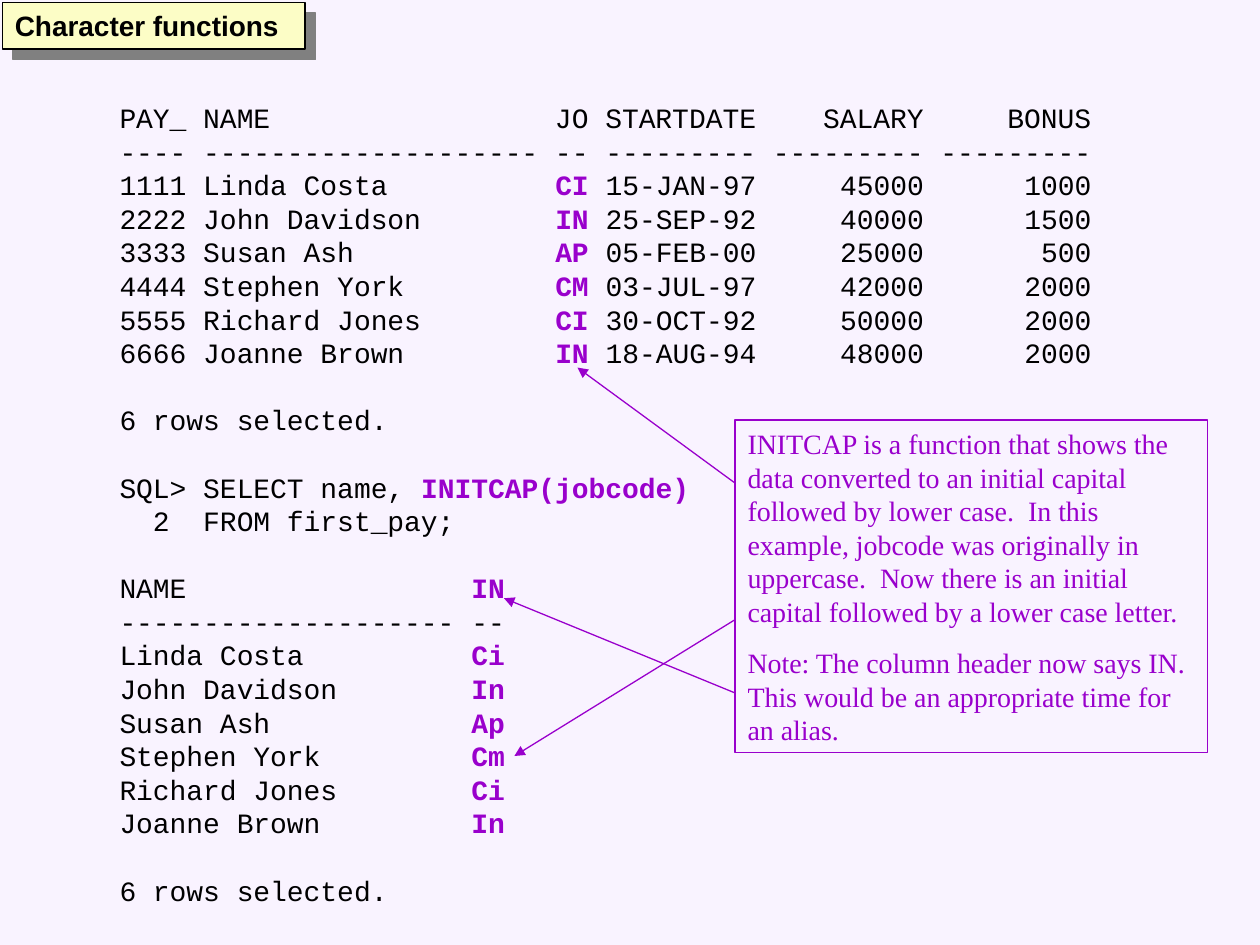
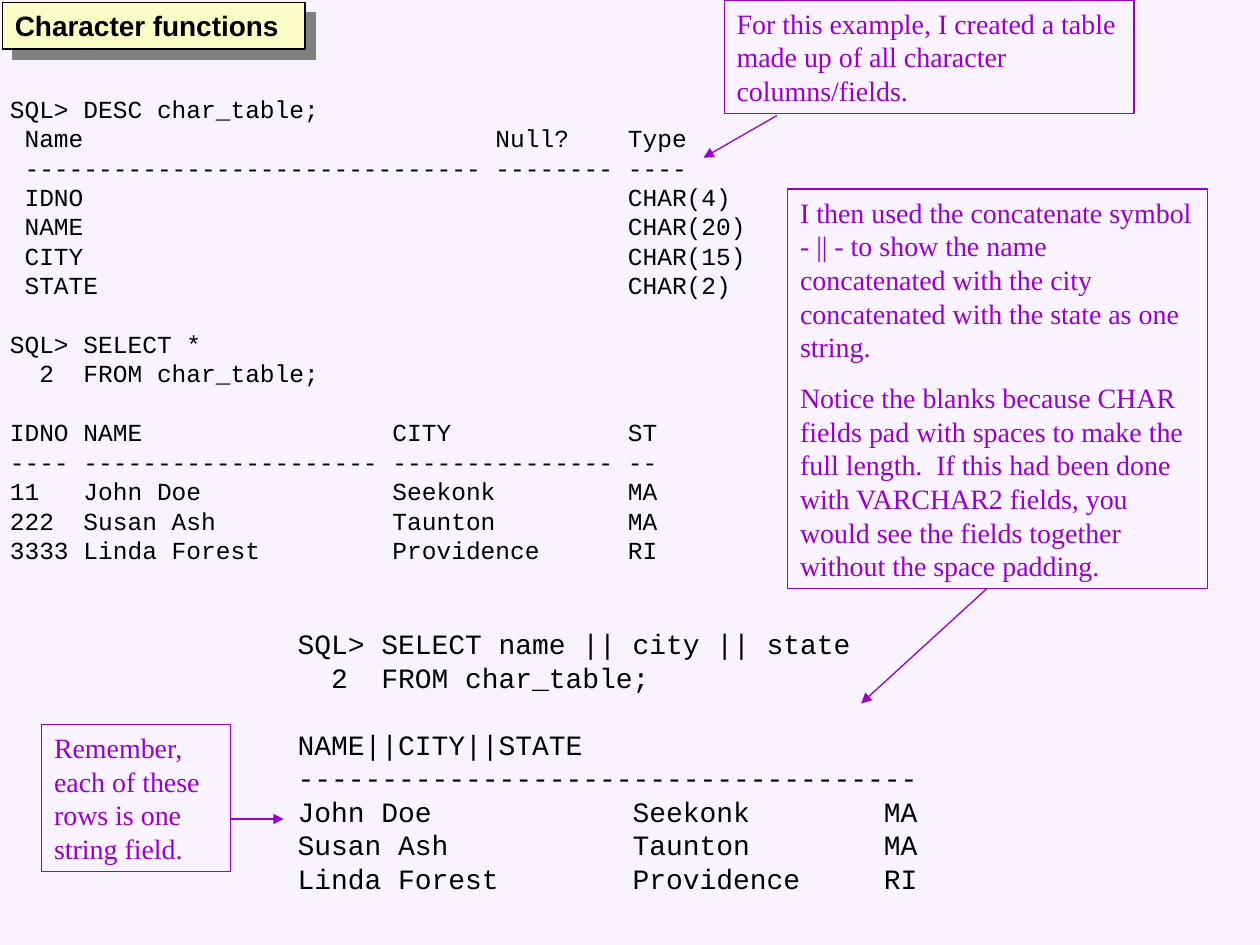
from lxml import etree
from pptx import Presentation
from pptx.dml.color import RGBColor
from pptx.enum.shapes import MSO_CONNECTOR, MSO_SHAPE
from pptx.enum.text import MSO_ANCHOR, MSO_AUTO_SIZE, PP_ALIGN
from pptx.oxml import parse_xml
from pptx.oxml.ns import nsdecls, qn
from pptx.util import Cm, Pt

STRAIGHT = MSO_CONNECTOR.STRAIGHT
RECTANGLE = MSO_SHAPE.RECTANGLE
TOP = MSO_ANCHOR.TOP
NO_AUTOFIT = MSO_AUTO_SIZE.NONE
LEFT = PP_ALIGN.LEFT

BACKGROUND = RGBColor(0xF9, 0xF3, 0xFF)
TITLE_FILL = RGBColor(0xFC, 0xFD, 0xC6)
BLACK = RGBColor(0, 0, 0)
PURPLE = RGBColor(0x99, 0x00, 0xCC)

TITLE_FONT, CODE_FONT, NOTE_FONT = "Arial", "Courier New", "Times New Roman"
TEXT_SIZE = 16
LINE_FACTOR = 1.2
NOTE_GAP = Pt(10)
RULE_WIDTH = Pt(0.75)
HIGHLIGHT = "`"  # encloses the highlighted words of a code line
TITLE_BOX = (0.05, 0.05, 6.1, 0.94)

# Content: boxes are (left, top, width, height) in cm; each listing is split
# into blocks that stand one blank line apart.
SLIDES = [
    {
        "title": "Character functions",
        "listings": [
            {"box": (2.16, 1.9, 20.5, 16.5), "size": 16, "blocks": [
                ["PAY_ NAME                 JO STARTDATE    SALARY     BONUS",
                 "---- -------------------- -- --------- --------- ---------",
                 "1111 Linda Costa          `CI` 15-JAN-97     45000      1000",
                 "2222 John Davidson        `IN` 25-SEP-92     40000      1500",
                 "3333 Susan Ash            `AP` 05-FEB-00     25000       500",
                 "4444 Stephen York         `CM` 03-JUL-97     42000      2000",
                 "5555 Richard Jones        `CI` 30-OCT-92     50000      2000",
                 "6666 Joanne Brown         `IN` 18-AUG-94     48000      2000"],
                ["6 rows selected."],
                ["SQL> SELECT name, `INITCAP(jobcode)`",
                 "  2  FROM first_pay;"],
                ["NAME                 `IN`",
                 "-------------------- --",
                 "Linda Costa          `Ci`",
                 "John Davidson        `In`",
                 "Susan Ash            `Ap`",
                 "Stephen York         `Cm`",
                 "Richard Jones        `Ci`",
                 "Joanne Brown         `In`"],
                ["6 rows selected."],
            ]},
        ],
        "notes": [
            {"box": (14.82, 8.47, 9.52, 6.7), "paragraphs": [
                "INITCAP is a function that shows the data converted to an "
                "initial capital followed by lower case.  In this example, "
                "jobcode was originally in uppercase.  Now there is an initial "
                "capital followed by a lower case letter.",
                "Note: The column header now says IN.  This would be an "
                "appropriate time for an alias."]},
        ],
        "arrows": [
            (14.82, 9.74, 11.64, 7.41),
            (14.82, 12.49, 10.37, 15.24),
            (14.82, 13.97, 10.16, 12.06),
        ],
    },
    {
        "title": "Character functions",
        "listings": [
            {"box": (-0.05, 1.76, 15.6, 9.75), "size": 14, "blocks": [
                ["SQL> DESC char_table;",
                 " Name                            Null?    Type",
                 " ------------------------------- -------- ----",
                 " IDNO                                     CHAR(4)",
                 " NAME                                     CHAR(20)",
                 " CITY                                     CHAR(15)",
                 " STATE                                    CHAR(2)"],
                ["SQL> SELECT *",
                 "  2  FROM char_table;"],
                ["IDNO NAME                 CITY            ST",
                 "---- -------------------- --------------- --",
                 "11   John Doe             Seekonk         MA",
                 "222  Susan Ash            Taunton         MA",
                 "3333 Linda Forest         Providence      RI"],
            ]},
            {"box": (5.75, 12.5, 13.2, 5.7), "size": 16, "blocks": [
                ["SQL> SELECT name || city || state",
                 "  2  FROM char_table;"],
                ["NAME||CITY||STATE",
                 "-------------------------------------",
                 "John Doe            Seekonk        MA",
                 "Susan Ash           Taunton        MA",
                 "Linda Forest        Providence     RI"],
            ]},
        ],
        "notes": [
            {"box": (14.6, 0, 8.26, 2.29), "paragraphs": [
                "For this example, I created a table made up of all character "
                "columns/fields."]},
            {"box": (15.88, 3.81, 8.46, 8.06), "paragraphs": [
                "I then used the concatenate symbol - || - to show the name "
                "concatenated with the city concatenated with the state as one "
                "string.",
                "Notice the blanks because CHAR fields pad with spaces to make "
                "the full length.  If this had been done with VARCHAR2 fields, "
                "you would see the fields together without the space padding."]},
            {"box": (0.84, 14.6, 3.81, 2.97), "paragraphs": [
                "Remember, each of these rows is one string field."]},
        ],
        "arrows": [
            (15.66, 2.33, 14.18, 3.18),
            (19.9, 11.86, 17.36, 14.18),
            (4.65, 16.51, 5.72, 16.51),
        ],
    },
]


def in_cm(lengths):
    return [Cm(length) for length in lengths]


def set_up_frame(frame):
    frame.word_wrap = True
    frame.auto_size = NO_AUTOFIT
    frame.vertical_anchor = TOP
    frame.margin_left = frame.margin_right = Cm(0.25)
    frame.margin_top = frame.margin_bottom = Cm(0.13)


def format_paragraph(paragraph, font_name, size, color, gap=Pt(0)):
    paragraph.alignment = LEFT
    paragraph.line_spacing = Pt(size * LINE_FACTOR)
    paragraph.space_before = gap
    for run in paragraph.runs:
        run.font.name = font_name
        run.font.size = Pt(size)
        run.font.color.rgb = color


def next_paragraph(frame, index):
    return frame.add_paragraph() if index else frame.paragraphs[0]


def set_title(slide, text):
    title = slide.shapes.title
    title.left, title.top, title.width, title.height = in_cm(TITLE_BOX)
    title.fill.solid()
    title.fill.fore_color.rgb = TITLE_FILL
    title.line.color.rgb = BLACK
    title.line.width = RULE_WIDTH
    title._element.spPr.append(parse_xml(
        f'<a:effectLst {nsdecls("a")}>'
        '<a:outerShdw dist="107950" dir="2700000" algn="ctr" rotWithShape="0">'
        '<a:srgbClr val="808080"/></a:outerShdw></a:effectLst>'))
    set_up_frame(title.text_frame)
    title.text_frame.text = text
    heading = title.text_frame.paragraphs[0]
    format_paragraph(heading, TITLE_FONT, TEXT_SIZE, BLACK)
    heading.runs[0].font.bold = True


def add_listing(slide, box, size, blocks):
    frame = slide.shapes.add_textbox(*in_cm(box)).text_frame
    set_up_frame(frame)
    lines = [(line, row == 0) for block in blocks
             for row, line in enumerate(block)]
    for index, (line, starts_block) in enumerate(lines):
        paragraph = next_paragraph(frame, index)
        pieces = line.split(HIGHLIGHT)
        for piece in filter(None, pieces):
            paragraph.add_run().text = piece
        gap = Pt(size * LINE_FACTOR) if index and starts_block else Pt(0)
        format_paragraph(paragraph, CODE_FONT, size, BLACK, gap)
        if len(pieces) > 1:
            highlighted = paragraph.runs[1].font
            highlighted.bold = True
            highlighted.color.rgb = PURPLE


def add_note(slide, box, paragraphs):
    note = slide.shapes.add_shape(RECTANGLE, *in_cm(box))
    note.shadow.inherit = False
    note.fill.background()
    note.line.color.rgb = PURPLE
    note.line.width = RULE_WIDTH
    set_up_frame(note.text_frame)
    for index, text in enumerate(paragraphs):
        paragraph = next_paragraph(note.text_frame, index)
        paragraph.text = text
        format_paragraph(paragraph, NOTE_FONT, TEXT_SIZE, PURPLE,
                         NOTE_GAP if index else Pt(0))


def add_arrow(slide, ends):
    arrow = slide.shapes.add_connector(STRAIGHT, *in_cm(ends))
    arrow.line.color.rgb = PURPLE
    arrow.line.width = RULE_WIDTH
    etree.SubElement(arrow.line._get_or_add_ln(), qn("a:tailEnd"),
                     type="triangle")
    etree.SubElement(arrow._element.spPr, qn("a:effectLst"))


def main():
    prs = Presentation()
    prs.slide_width, prs.slide_height = Cm(25.4), Cm(19.05)
    backdrop = prs.slide_master.background.fill
    backdrop.solid()
    backdrop.fore_color.rgb = BACKGROUND
    title_only = prs.slide_layouts.get_by_name("Title Only")

    for content in SLIDES:
        slide = prs.slides.add_slide(title_only)
        set_title(slide, content["title"])
        for listing in content["listings"]:
            add_listing(slide, **listing)
        for note in content["notes"]:
            add_note(slide, **note)
        for ends in content["arrows"]:
            add_arrow(slide, ends)
    prs.save("out.pptx")


if __name__ == "__main__":
    main()
